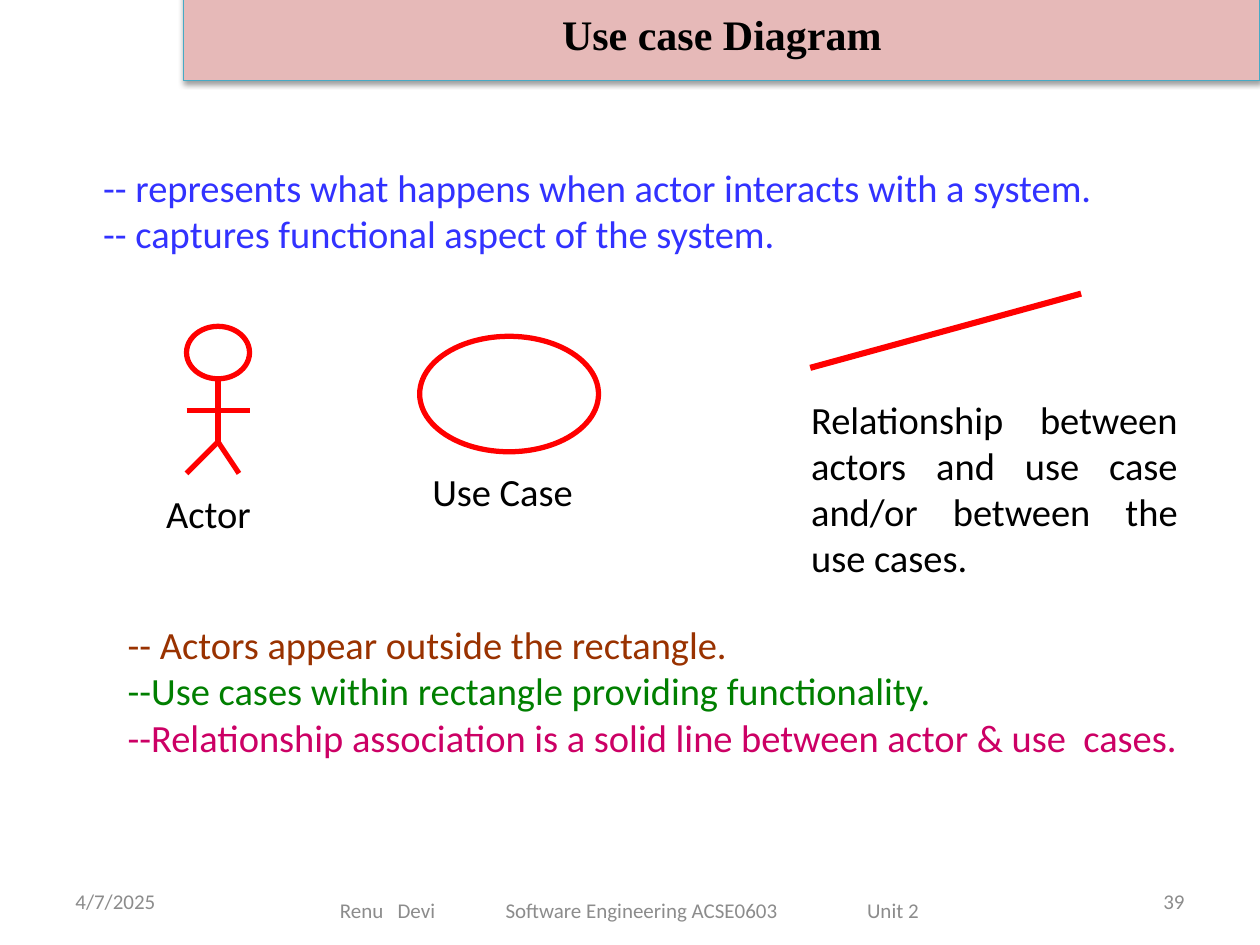
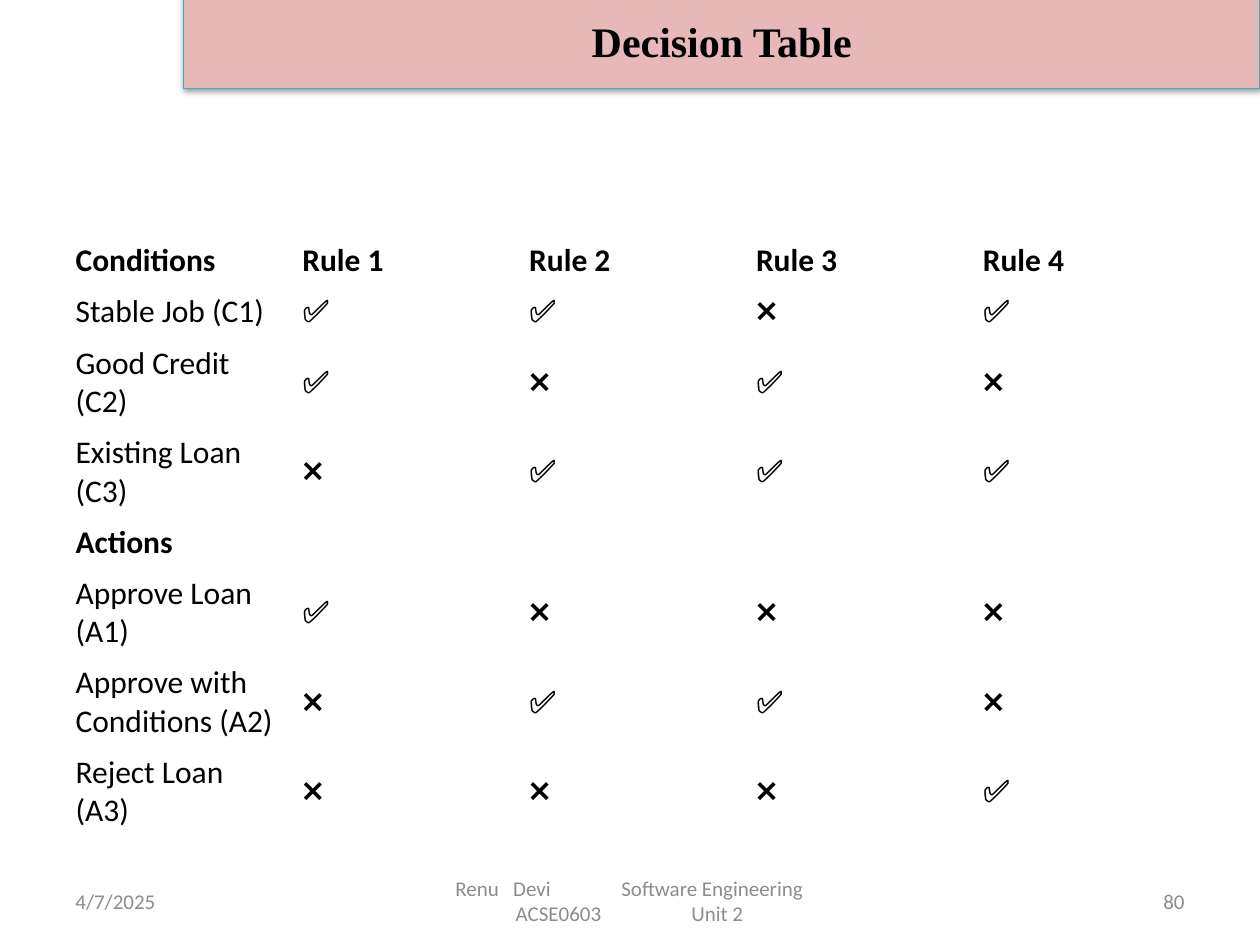
from dataclasses import dataclass

from lxml import etree
from pptx import Presentation
from pptx.dml.color import RGBColor
from pptx.enum import shapes, text
from pptx.oxml import ns
from pptx.util import Pt

BODY_FONT, TITLE_FONT = "Calibri", "Times New Roman"
BLACK, GREY, RED = "000000", "8C8C8C", "FF0000"
PINK, TEAL, BLUE = "E6B9B8", "46AAC5", "3232FF"
BROWN, GREEN, MAGENTA = "993200", "007F00", "CC0065"
DATE = "4/7/2025"
LEFT, CENTER, RIGHT = text.PP_ALIGN.LEFT, text.PP_ALIGN.CENTER, text.PP_ALIGN.RIGHT
MIDDLE, TOP = text.MSO_ANCHOR.MIDDLE, text.MSO_ANCHOR.TOP
PAGE_MARGIN, FOOTER_TOP, FOOTER_HEIGHT = 36, 500.4, 28.8


@dataclass(frozen=True)
class Area:
    left: float
    top: float
    width: float
    height: float

    def lengths(self) -> list:
        return [Pt(v) for v in (self.left, self.top, self.width, self.height)]


@dataclass(frozen=True)
class FooterLine:
    """Words of one line, each starting at its own tab stop."""
    words: tuple
    stops: tuple


@dataclass(frozen=True)
class Note:
    area: Area
    lines: tuple
    inset: float = 1.5
    align: text.PP_ALIGN = LEFT


def color(value: str) -> RGBColor:
    return RGBColor.from_string(value)


def add_para(frame, content: str, *, first=False, size=22.0, font=BODY_FONT,
             fill=BLACK, bold=False, align=LEFT):
    para = frame.paragraphs[0] if first else frame.add_paragraph()
    para.alignment = align
    span = para.add_run()
    span.text = content
    span.font.size, span.font.name, span.font.bold = Pt(size), font, bold
    span.font.color.rgb = color(fill)
    return para


def add_box(page, area: Area, *, anchor=TOP, side=0.0, inset=0.0):
    frame = page.shapes.add_textbox(*area.lengths()).text_frame
    frame.word_wrap = True
    frame.vertical_anchor = anchor
    frame.margin_left = frame.margin_right = Pt(side)
    frame.margin_top, frame.margin_bottom = Pt(inset), 0
    return frame


def add_effects(properties):
    return etree.SubElement(properties, ns.qn("a:effectLst"))


def add_band(page, title: str, top: float) -> None:
    band = page.shapes.add_shape(shapes.MSO_SHAPE.RECTANGLE,
                                 *Area(105, top, 615, 54).lengths())
    band.fill.solid()
    band.fill.fore_color.rgb = color(PINK)
    band.line.color.rgb = color(TEAL)
    band.line.width = Pt(0.75)
    shadow = etree.SubElement(
        add_effects(band._element.spPr), ns.qn("a:outerShdw"),
        blurRad=str(Pt(3.1)), dist=str(Pt(1.6)), dir="5400000", rotWithShape="0")
    tint = etree.SubElement(shadow, ns.qn("a:srgbClr"), val=BLACK)
    etree.SubElement(tint, ns.qn("a:alpha"), val="38000")
    band.text_frame.vertical_anchor = MIDDLE
    add_para(band.text_frame, title, first=True, size=24, font=TITLE_FONT,
             bold=True, align=CENTER)


def add_footer(page, number: str, area: Area, lines: tuple) -> None:
    side = Area(PAGE_MARGIN, FOOTER_TOP, 168, FOOTER_HEIGHT)
    far_side = Area(720 - PAGE_MARGIN - 168, FOOTER_TOP, 168, FOOTER_HEIGHT)
    for place, content, align in ((side, DATE, LEFT), (far_side, number, RIGHT)):
        frame = add_box(page, place, anchor=MIDDLE, side=7.2)
        add_para(frame, content, first=True, size=12, fill=GREY, align=align)
    frame = add_box(page, area, anchor=MIDDLE, side=7.2)
    for index, line in enumerate(lines):
        para = add_para(frame, "".join("\t" + word for word in line.words),
                        first=index == 0, size=12, fill=GREY)
        tabs = etree.SubElement(para._p.get_or_add_pPr(), ns.qn("a:tabLst"))
        for stop in line.stops:
            etree.SubElement(tabs, ns.qn("a:tab"), pos=str(Pt(stop)), algn="l")


def add_note(page, note: Note) -> None:
    frame = add_box(page, note.area, inset=note.inset)
    for index, (content, fill) in enumerate(note.lines):
        add_para(frame, content, first=index == 0, fill=fill, align=note.align)


def outline(shape) -> None:
    shape.shadow.inherit = False
    shape.fill.background()
    shape.line.color.rgb = color(RED)
    shape.line.width = Pt(3)


def add_oval(page, area: Area) -> None:
    outline(page.shapes.add_shape(shapes.MSO_SHAPE.OVAL, *area.lengths()))


def add_actor(page, head: Area) -> None:
    """Stick figure whose body hangs from the head."""
    add_oval(page, head)
    middle, right = head.left + head.width / 2, head.left + head.width
    neck = head.top + head.height
    arms, hip, feet = neck + 18, neck + 36, neck + 54
    limbs = (((middle, neck), (middle, hip)),
             ((middle, hip), (head.left, feet)),
             ((middle, hip), (middle + 12, feet)),
             ((head.left, arms), (right, arms)))
    builder = page.shapes.build_freeform(Pt(middle), Pt(neck))
    for index, ((x, y), (end_x, end_y)) in enumerate(limbs):
        if index:
            builder.move_to(Pt(x), Pt(y))
        builder.add_line_segments([(Pt(end_x), Pt(end_y))], close=False)
    outline(builder.convert_to_shape())


def add_relationship(page) -> None:
    line = page.shapes.add_connector(shapes.MSO_CONNECTOR.STRAIGHT,
                                     Pt(463), Pt(210.2), Pt(617.8), Pt(167.8))
    line.line.color.rgb = color(RED)
    line.line.width = Pt(3.5)
    add_effects(line._element.spPr)


NOTES = (
    Note(Area(59, 92.2, 602, 54), (
        ("-- represents what happens when actor interacts with a system.", BLUE),
        ("-- captures functional aspect of the system.", BLUE))),
    Note(Area(247, 265.7, 90, 27.4), (("Use Case", BLACK),)),
    Note(Area(95, 278.6, 84, 27.4), (("Actor", BLACK),)),
    Note(Area(463.5, 224.6, 209.5, 108), (
        ("Relationship between actors and use case and/or between the use cases.",
         BLACK),), align=text.PP_ALIGN.JUSTIFY),
    Note(Area(73, 340, 646, 95), (
        ("-- Actors appear outside the rectangle.", BROWN),
        ("--Use cases within rectangle providing functionality.", GREEN),
        ("--Relationship association is a solid line between actor & use  cases.",
         MAGENTA)), inset=15),
)

HEADINGS = ("Conditions", "Actions")
DECISIONS = (
    ("Conditions", "Rule 1", "Rule 2", "Rule 3", "Rule 4"),
    ("Stable Job (C1)", "✅", "✅", "❌", "✅"),
    ("Good Credit (C2)", "✅", "❌", "✅", "❌"),
    ("Existing Loan (C3)", "❌", "✅", "✅", "✅"),
    ("Actions", "", "", "", ""),
    ("Approve Loan (A1)", "✅", "❌", "❌", "❌"),
    ("Approve with Conditions (A2)", "❌", "✅", "✅", "❌"),
    ("Reject Loan (A3)", "❌", "❌", "❌", "✅"),
)
ONE_LINE, TWO_LINES = 29.2, 51.2


def add_decisions(page) -> None:
    heights = [TWO_LINES if len(row[0]) > 15 else ONE_LINE for row in DECISIONS]
    area = Area(PAGE_MARGIN, 134.6, 648, sum(heights))
    table = page.shapes.add_table(len(DECISIONS), len(DECISIONS[0]),
                                  *area.lengths()).table
    table.first_row = table.horz_banding = False
    for row, height, entries in zip(table.rows, heights, DECISIONS):
        row.height = Pt(height)
        for cell, entry in zip(row.cells, entries):
            cell.fill.background()
            cell.vertical_anchor = MIDDLE
            add_para(cell.text_frame, entry, first=True, size=18,
                     bold=entries[0] in HEADINGS)


def build_use_case_page(page) -> None:
    add_band(page, "Use case Diagram", -7.9)
    add_footer(page, "39", Area(113.8, FOOTER_TOP, 491.8, 39.6), (
        FooterLine(("Renu", "Devi", "Software Engineering ACSE0603", "Unit 2"),
                   (73.4, 106.3, 168, 374.6)),))
    add_actor(page, Area(106.6, 186.5, 36, 30))
    add_oval(page, Area(239.8, 192.2, 102.2, 66))
    add_relationship(page)
    for note in NOTES:
        add_note(page, note)


def build_decision_page(page) -> None:
    add_band(page, "Decision Table", -3.6)
    add_footer(page, "80", Area(246, FOOTER_TOP, 228, FOOTER_HEIGHT), (
        FooterLine(("Renu", "Devi", "Software Engineering"), (7.2, 40.2, 102)),
        FooterLine(("ACSE0603", "Unit 2"), (41.6, 142))))
    add_decisions(page)


def main() -> None:
    deck = Presentation()
    deck.slide_width, deck.slide_height = Pt(720), Pt(540)
    for build in (build_use_case_page, build_decision_page):
        build(deck.slides.add_slide(deck.slide_layouts[6]))
    deck.save("out.pptx")


if __name__ == "__main__":
    main()
